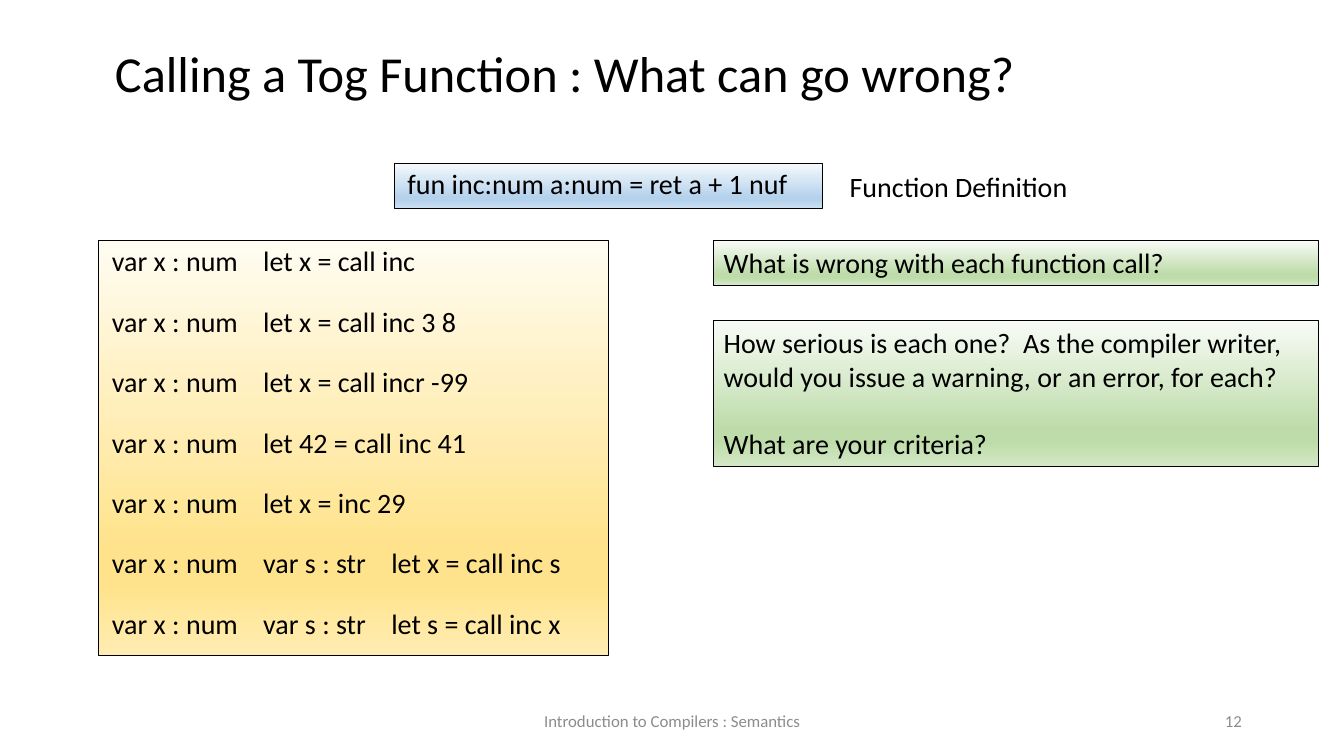
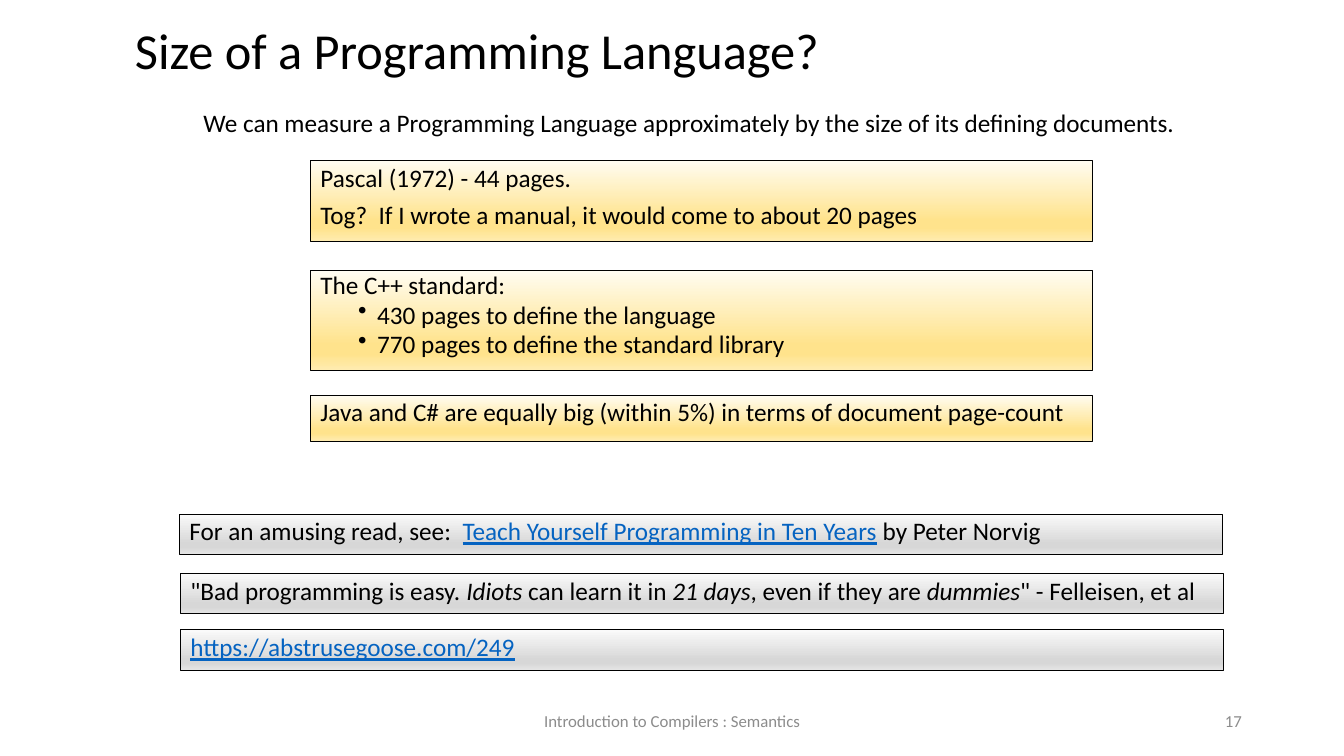
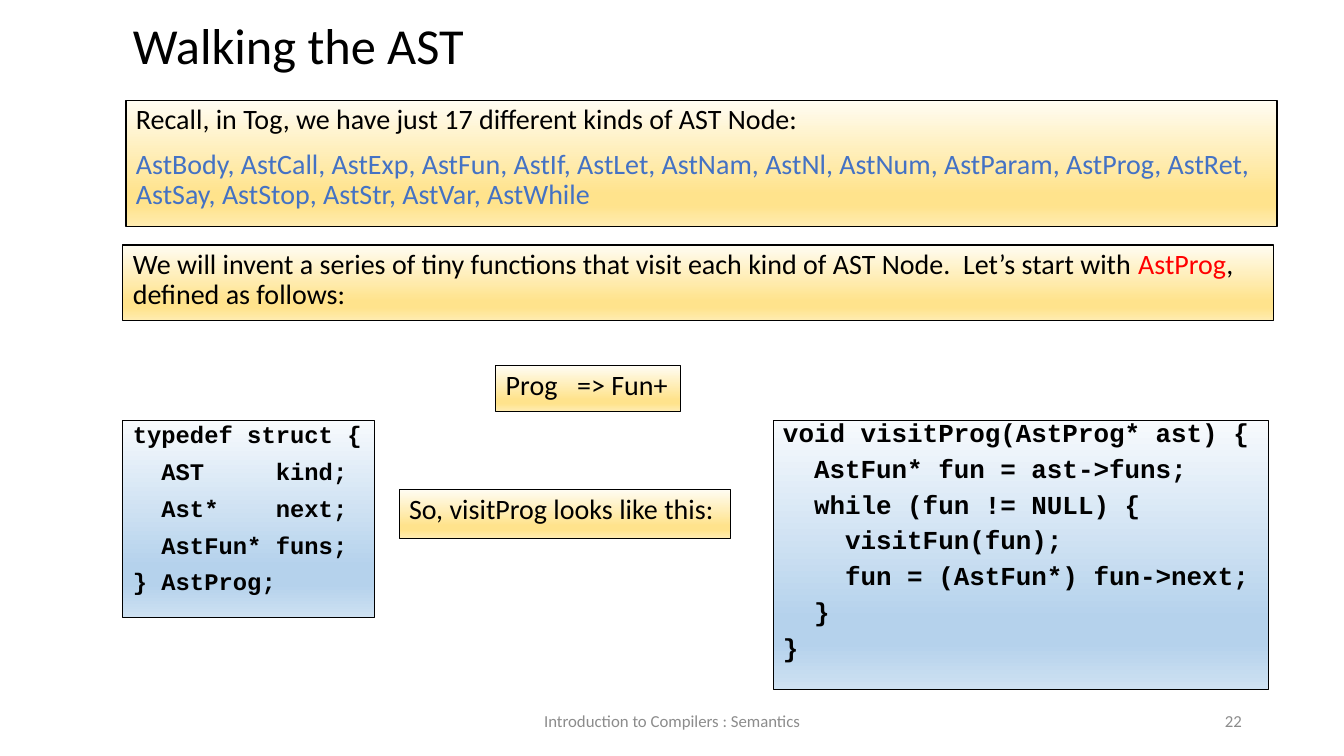
from lxml import etree
from pptx import Presentation
from pptx.dml.color import RGBColor
from pptx.enum.shapes import MSO_SHAPE
from pptx.enum.text import MSO_ANCHOR, PP_ALIGN
from pptx.oxml.ns import qn
from pptx.util import Pt

RECT = MSO_SHAPE.RECTANGLE
TOP, MIDDLE = MSO_ANCHOR.TOP, MSO_ANCHOR.MIDDLE
LEFT, CENTER, RIGHT = PP_ALIGN.LEFT, PP_ALIGN.CENTER, PP_ALIGN.RIGHT

# Shared style
BODY_FONT, CODE_FONT = "Calibri", "Courier New"
BLACK, FOOTER_GRAY, LINK_BLUE = "000000", "8C8C8C", "0563C1"
NODE_BLUE, RED = "4472C4", "FF0000"
INSETS, WIDE_INSETS = (7.2, 3.6), (9.4, 4.7)
# Each tint runs from its light top through a deep band to its bottom
BLUE = ("F7FAFD", "B5D2EC", "CEE1F2")
YELLOW = ("FFFCF2", "FFE38C", "FFECB2")
GREEN = ("F8FBF6", "BEDCAA", "D4E8C6")
GRAY = ("FAFAFA", "D7D7D7", "E4E4E4")
LINK = {"color": LINK_BLUE, "underline": True}
ITALIC = {"italic": True}


def color(hex_value):
    return RGBColor.from_string(hex_value)


def points(box):
    return [Pt(value) for value in box]


def add_bullet(paragraph, margin=40.5, hang=13.5):
    properties = paragraph._p.get_or_add_pPr()
    properties.set("lvl", "1")
    properties.set("marL", str(Pt(margin)))
    properties.set("indent", str(-Pt(hang)))
    etree.SubElement(properties, qn("a:buChar")).set("char", "•")


def add_tabs(paragraph, stops):
    tab_list = etree.SubElement(paragraph._p.get_or_add_pPr(), qn("a:tabLst"))
    for stop in stops:
        tab = etree.SubElement(tab_list, qn("a:tab"))
        tab.set("pos", str(Pt(stop)))
        tab.set("algn", "l")


def write(shape, paragraphs, size=20, font=BODY_FONT, ink=BLACK, bold=False,
          align=LEFT, anchor=TOP, line=0.9, before=0, insets=INSETS,
          tabs=(), bullets_from=None):
    """Each paragraph is a string or a list of (text, run format) pairs."""
    frame = shape.text_frame
    frame.word_wrap = True
    frame.vertical_anchor = anchor
    frame.margin_left = frame.margin_right = Pt(insets[0])
    frame.margin_top = frame.margin_bottom = Pt(insets[1])
    for index, content in enumerate(paragraphs):
        paragraph = frame.add_paragraph() if index else frame.paragraphs[0]
        paragraph.alignment = align
        paragraph.line_spacing = line
        paragraph.space_before = Pt(before if index else 0)
        if bullets_from is not None and index >= bullets_from:
            add_bullet(paragraph)
        if tabs:
            add_tabs(paragraph, tabs)
        runs = [(content, {})] if isinstance(content, str) else content
        for text, style in runs:
            run = paragraph.add_run()
            run.text = text
            run.font.name, run.font.size = font, Pt(size)
            run.font.bold = bold
            run.font.italic = style.get("italic", False)
            run.font.underline = style.get("underline", False)
            run.font.color.rgb = color(style.get("color", ink))


def label(slide, box, paragraphs, **style):
    write(slide.shapes.add_textbox(*points(box)), paragraphs, **style)


def panel(slide, box, tint, paragraphs, **style):
    shape = slide.shapes.add_shape(RECT, *points(box))
    shape.shadow.inherit = False
    shape.line.color.rgb = color(BLACK)
    shape.line.width = Pt(0.75)
    shape.fill.gradient()
    shape.fill.gradient_angle = 270
    stops = shape._element.spPr.find(qn("a:gradFill")).find(qn("a:gsLst"))
    for stop in list(stops):
        stops.remove(stop)
    light, deep, bottom = tint
    for percent, shade in ((0, light), (74, deep), (83, deep), (100, bottom)):
        stop = etree.SubElement(stops, qn("a:gs"))
        stop.set("pos", str(percent * 1000))
        etree.SubElement(stop, qn("a:srgbClr")).set("val", shade)
    write(shape, paragraphs, **style)


def start_slide(deck, number, title, title_box, **title_style):
    slide = deck.slides.add_slide(deck.slide_layouts[6])
    label(slide, title_box, [title], size=36, **title_style)
    footer = {"size": 12, "ink": FOOTER_GRAY, "anchor": MIDDLE, "line": 1}
    label(slide, (318.2, 500.4, 324, 28.8),
          ["Introduction to Compilers : Semantics"], align=CENTER, **footer)
    label(slide, (678.2, 500.4, 216, 28.8), [str(number)], align=RIGHT, **footer)
    return slide


# Calling a function
def function_definition(slide, left, top):
    panel(slide, (left, top, 306, 32.4), BLUE,
          ["fun inc:num a:num = ret a + 1 nuf"], insets=WIDE_INSETS)
    label(slide, (left + 318.3, top + 0.8, 186, 31.7),
          ["Function Definition"], line=1)


def faulty_calls(slide, box):
    calls = ["let x = call inc", "let x = call inc 3 8",
             "let x = call incr -99", "let 42 = call inc 41", "let x = inc 29",
             "var s : str\tlet x = call inc s",
             "var s : str\tlet s = call inc x"]
    panel(slide, box, YELLOW, ["var x : num\t" + call for call in calls],
          before=21.6, insets=WIDE_INSETS, tabs=(108, 199.5))


def questions(slide, left, top, width):
    panel(slide, (left, top, width, 31.7), GREEN,
          ["What is wrong with each function call?"], line=1)
    panel(slide, (left, top + 57, width, 104.4), GREEN,
          ["How serious is each one?  As the compiler writer, would you "
           "issue a warning, or an error, for each?",
           "What are your criteria?"], line=1, before=24.2)


def calling_slide(deck):
    slide = start_slide(deck, 12, "Calling a Tog Function : What can go wrong?",
                        (72.7, 20.9, 820.8, 72.7), line=1, insets=(9.4, 9.4))
    function_definition(slide, 281.5, 116.6)
    faulty_calls(slide, (70.6, 172, 364.3, 296))
    questions(slide, 509.8, 172, 432)


# Size of a language
def page_counts(slide, left, top, width):
    panel(slide, (left, top, width, 58.3), YELLOW,
          ["Pascal (1972) - 44 pages.",
           "Tog?  If I wrote a manual, it would come to about 20 pages"],
          size=18, before=7.5)
    panel(slide, (left, top + 78.5, width, 72), YELLOW,
          ["The C++ standard:", "430 pages to define the language",
           "770 pages to define the standard library"],
          size=18, line=0.8, before=3.8, bullets_from=1)
    panel(slide, (left, top + 167.7, width, 33.1), YELLOW,
          ["Java and C# are equally big (within 5%) in terms of document "
           "page-count"], size=18)


def further_reading(slide, left, top, width):
    article = [("For an amusing read, see:  ", {}),
               ("Teach Yourself Programming in Ten Years", LINK),
               (" by Peter Norvig", {})]
    quotation = [('"Bad programming is easy. ', {}), ("Idiots", ITALIC),
                 (" can learn it in ", {}), ("21 days", ITALIC),
                 (", even if they are ", {}), ("dummies", ITALIC),
                 ('" - Felleisen, et al', {})]
    comic = [("https://abstrusegoose.com/249", LINK)]
    for shift, drop, entry in ((0, 0, article), (0.7, 42.5, quotation),
                               (0.7, 82.8, comic)):
        panel(slide, (left + shift, top + drop, width, 28.8), GRAY, [entry],
              size=18)


def size_slide(deck):
    slide = start_slide(deck, 17, "Size of a Programming Language?",
                        (89.3, 9.4, 620.6, 57.6), anchor=MIDDLE)
    label(slide, (138.2, 75.6, 805, 30.2),
          ["We can measure a Programming Language approximately by the size "
           "of its defining documents."], size=18)
    page_counts(slide, 221.8, 114.5, 558.7)
    further_reading(slide, 128.2, 367.2, 745.2)


# Walking the tree
def node_kinds(slide, left, top, width):
    names = ("Body Call Exp Fun If Let Nam Nl Num Param Prog Ret Say Stop "
             "Str Var While").split()
    nodes = ", ".join("Ast" + name for name in names)
    panel(slide, (left + 2.2, top, width, 90), YELLOW,
          ["Recall, in Tog, we have just 17 different kinds of AST Node:",
           [(nodes, {"color": NODE_BLUE})]], before=10)
    panel(slide, (left, top + 103, width, 54), YELLOW,
          [[("We will invent a series of tiny functions that visit each kind "
             "of AST Node.  Let’s start with ", {}),
            ("AstProg", {"color": RED}), (", defined as follows:", {})]])


def visit_example(slide, left, top):
    code = {"font": CODE_FONT, "bold": True, "before": 10}
    panel(slide, (left + 266.4, top, 131.8, 32.4), YELLOW,
          ["Prog\t=> Fun+"], tabs=(51,))
    panel(slide, (left, top + 38.8, 180, 141.1), BLUE,
          ["typedef struct {",
           "  AST     kind;",
           "  Ast*    next;",
           "  AstFun* funs;",
           "} AstProg;"], size=17, line=0.8, **code)
    panel(slide, (left + 197.3, top + 88.5, 236.9, 34.6), YELLOW,
          ["So, visitProg looks like this:"])
    panel(slide, (left + 464.4, top + 38.8, 354.2, 192.2), BLUE,
          ["void visitProg(AstProg* ast) {",
           "  AstFun* fun = ast->funs;",
           "  while (fun != NULL) {",
           "    visitFun(fun);",
           "    fun = (AstFun*) fun->next;",
           "  }",
           "}"], size=18.5, line=0.7, **code)


def walking_slide(deck):
    slide = start_slide(deck, 22, "Walking the AST",
                        (87.8, 9.4, 620.6, 49.7), anchor=MIDDLE)
    node_kinds(slide, 87.8, 72, 822.2)
    visit_example(slide, 87.8, 261.4)


def main():
    deck = Presentation()
    deck.slide_width, deck.slide_height = Pt(960), Pt(540)
    calling_slide(deck)
    size_slide(deck)
    walking_slide(deck)
    deck.save("out.pptx")


if __name__ == "__main__":
    main()
